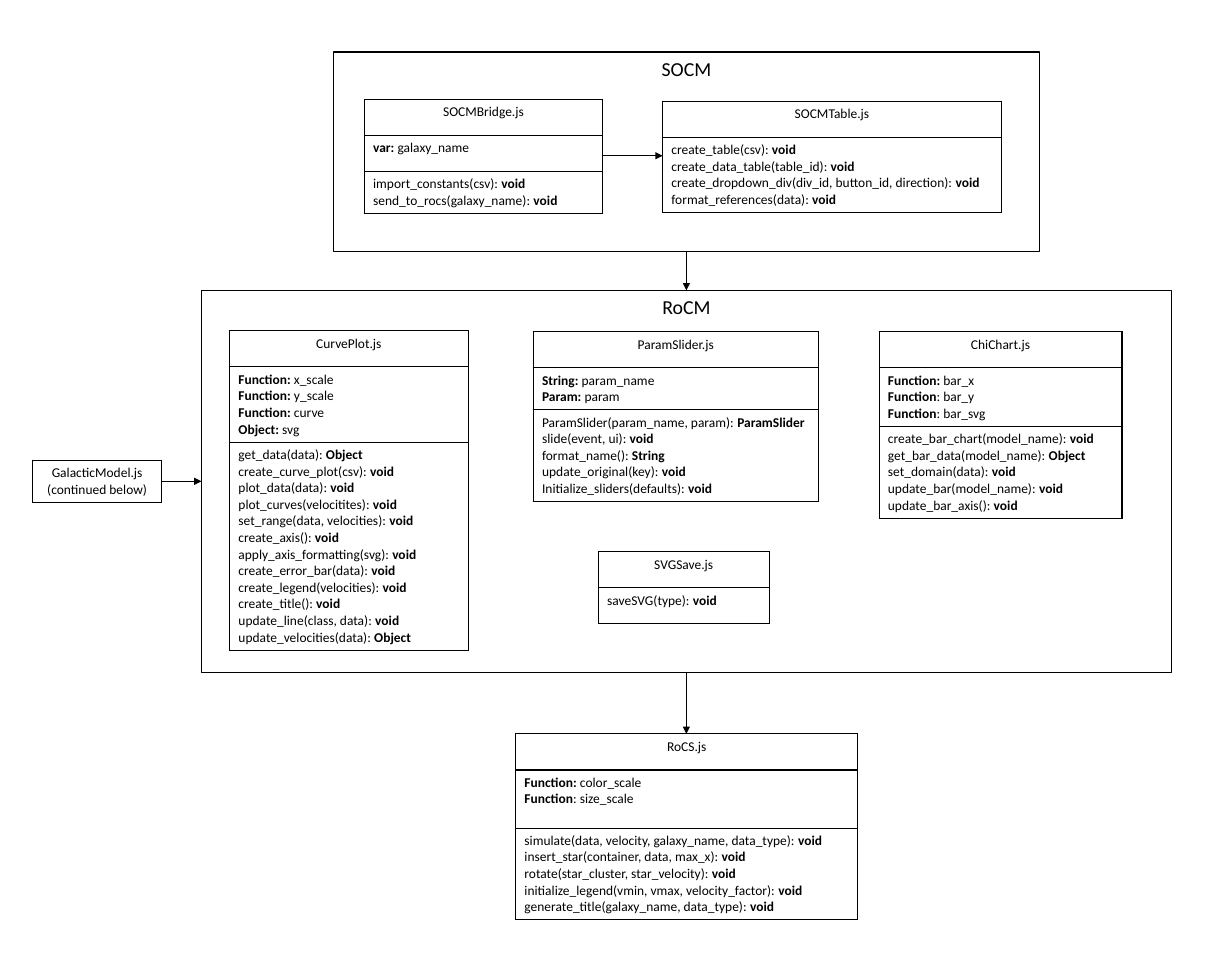
from lxml import etree
from pptx import Presentation
from pptx.dml.color import RGBColor
from pptx.enum import shapes, text
from pptx.oxml import ns
from pptx.util import Inches, Pt

BLACK = RGBColor(0, 0, 0)
WHITE = RGBColor(255, 255, 255)
FONT = "Calibri"
HEAD = 0.41

GROUPS = [
    ("RoCM", 2.29, 3.3, 11.02, 4.34),
    ("SOCM", 3.79, 0.59, 8.02, 2.27),
]

CLASSES = [
    (4.14, 1.13, 2.71, [
        ["SOCMBridge.js"],
        ["*var: *galaxy_name"],
        ["import_constants(csv): *void", "send_to_rocs(galaxy_name): *void"],
    ]),
    (7.53, 1.15, 3.85, [
        ["SOCMTable.js"],
        ["create_table(csv): *void",
         "create_data_table(table_id): *void",
         "create_dropdown_div(div_id, button_id, direction): *void",
         "format_references(data): *void"],
    ]),
    (2.61, 3.76, 2.71, [
        ["CurvePlot.js"],
        ["*Function: *x_scale", "*Function: *y_scale",
         "*Function: *curve", "*Object: *svg"],
        ["get_data(data): *Object",
         "create_curve_plot(csv): *void",
         "plot_data(data): *void",
         "plot_curves(velocitites): *void",
         "set_range(data, velocities): *void",
         "create_axis(): *void",
         "apply_axis_formatting(svg): *void",
         "create_error_bar(data): *void",
         "create_legend(velocities): *void",
         "create_title(): *void",
         "update_line(class, data): *void",
         "update_velocities(data): *Object"],
    ]),
    (0.37, 5.23, 1.47, [["GalacticModel.js", "(continued below)"]]),
    (6.06, 3.77, 3.24, [
        ["ParamSlider.js"],
        ["*String: *param_name", "*Param: *param"],
        ["ParamSlider(param_name, param): *ParamSlider",
         "slide(event, ui): *void",
         "format_name(): *String",
         "update_original(key): *void",
         "Initialize_sliders(defaults): *void"],
    ]),
    (9.99, 3.77, 2.76, [
        ["ChiChart.js"],
        ["*Function: *bar_x", "*Function*: bar_y", "*Function*: bar_svg"],
        ["create_bar_chart(model_name): *void",
         "get_bar_data(model_name): *Object",
         "set_domain(data): *void",
         "update_bar(model_name): *void",
         "update_bar_axis(): *void"],
    ]),
    (6.8, 6.27, 1.94, [["SVGSave.js"], ["saveSVG(type): *void"]]),
    (5.86, 8.34, 3.89, [
        ["RoCS.js"],
        ["*Function: *color_scale", "*Function*: size_scale"],
        ["simulate(data, velocity, galaxy_name, data_type): *void",
         "insert_star(container, data, max_x): *void",
         "rotate(star_cluster, star_velocity): *void",
         "initialize_legend(vmin, vmax, velocity_factor): *void",
         "generate_title(galaxy_name, data_type): *void"],
    ]),
]
ROCS_VARS = 0.66

ARROWS = [
    (1.84, 5.47, 2.29, 5.47),
    (6.84, 1.77, 7.53, 1.77),
    (7.8, 2.86, 7.8, 3.3),
    (7.8, 7.64, 7.8, 8.34),
]


def style(run, size, bold=False):
    run.font.name = FONT
    run.font.size = Pt(size)
    run.font.bold = bold
    run.font.color.rgb = BLACK


def add_group(slide, name, *place):
    box = slide.shapes.add_shape(shapes.MSO_SHAPE.RECTANGLE, *map(Inches, place))
    box.shadow.inherit = False
    box.fill.solid()
    box.fill.fore_color.rgb = WHITE
    box.line.color.rgb = BLACK
    box.line.width = Pt(1)
    frame = box.text_frame
    frame.text = name
    frame.vertical_anchor = text.MSO_ANCHOR.TOP
    frame.paragraphs[0].alignment = text.PP_ALIGN.CENTER
    style(frame.paragraphs[0].runs[0], 16.2)


def add_borders(cell):
    props = cell._tc.get_or_add_tcPr()
    for side in "LRTB":
        line = etree.SubElement(props, ns.qn("a:ln" + side), w=str(Pt(1)))
        fill = etree.SubElement(line, ns.qn("a:solidFill"))
        etree.SubElement(fill, ns.qn("a:srgbClr"), val=str(BLACK))


def fill_cell(cell, lines, align):
    add_borders(cell)
    cell.fill.solid()
    cell.fill.fore_color.rgb = WHITE
    frame = cell.text_frame
    for i, line in enumerate(lines):
        para = frame.add_paragraph() if i else frame.paragraphs[0]
        para.alignment = align
        for j, part in enumerate(line.split("*")):
            if part:
                run = para.add_run()
                run.text = part
                style(run, 11, j % 2 == 1)


def row_height(lines):
    return max(HEAD, 0.1 + 0.1865 * len(lines))


def add_class(slide, left, top, width, parts):
    heights = [row_height(lines) for lines in parts]
    if parts[0] == ["RoCS.js"]:
        heights[1] = ROCS_VARS
    place = map(Inches, (left, top, width, sum(heights)))
    table = slide.shapes.add_table(len(parts), 1, *place).table
    table.first_row = False
    table.horz_banding = False
    for i, lines in enumerate(parts):
        table.rows[i].height = Inches(heights[i])
        align = text.PP_ALIGN.LEFT if i else text.PP_ALIGN.CENTER
        fill_cell(table.cell(i, 0), lines, align)


def add_arrow(slide, *ends):
    arrow = slide.shapes.add_connector(
        shapes.MSO_CONNECTOR.STRAIGHT, *map(Inches, ends))
    arrow.line.color.rgb = BLACK
    arrow.line.width = Pt(0.5)
    etree.SubElement(arrow.line._get_or_add_ln(), ns.qn("a:tailEnd"), type="triangle")
    etree.SubElement(arrow._element.spPr, ns.qn("a:effectLst"))


def main():
    deck = Presentation()
    deck.slide_width = Inches(14)
    deck.slide_height = Inches(11)
    slide = deck.slides.add_slide(deck.slide_layouts[6])
    for group in GROUPS:
        add_group(slide, *group)
    for item in CLASSES:
        add_class(slide, *item)
    for ends in ARROWS:
        add_arrow(slide, *ends)
    deck.save("out.pptx")


main()
